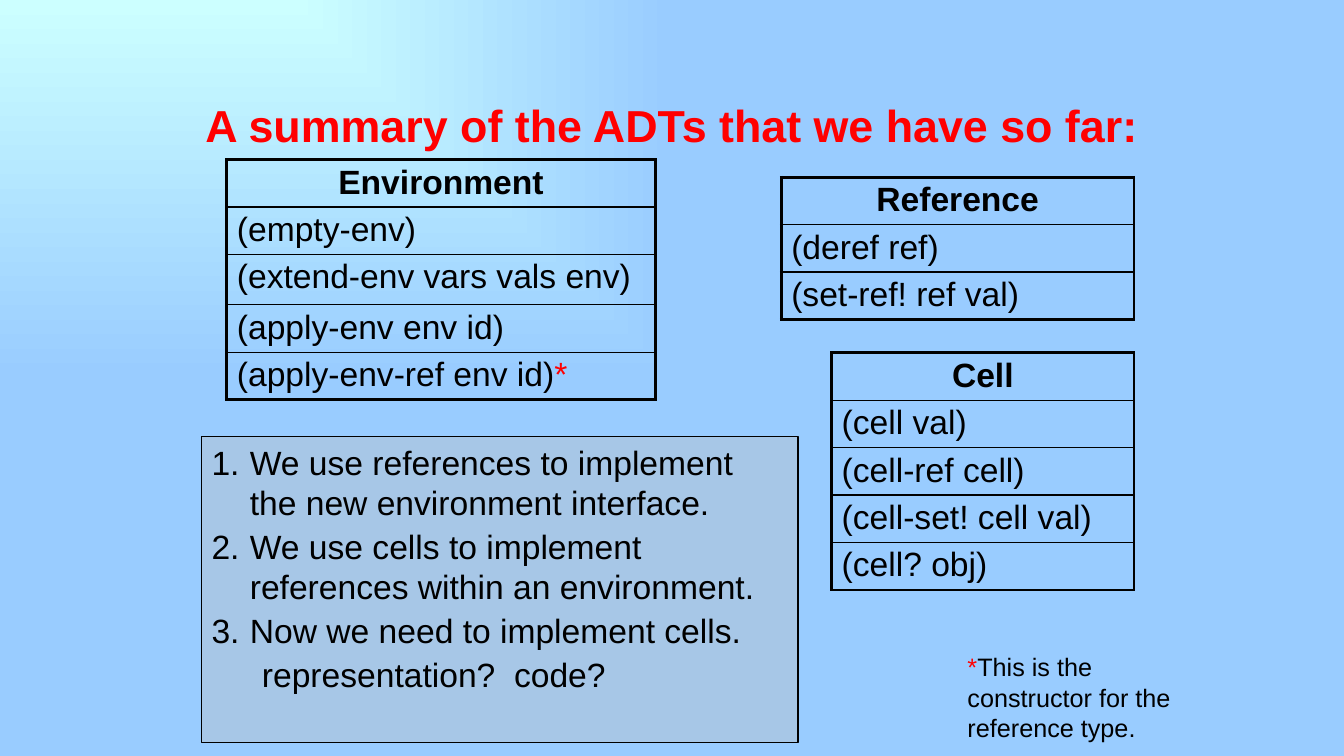
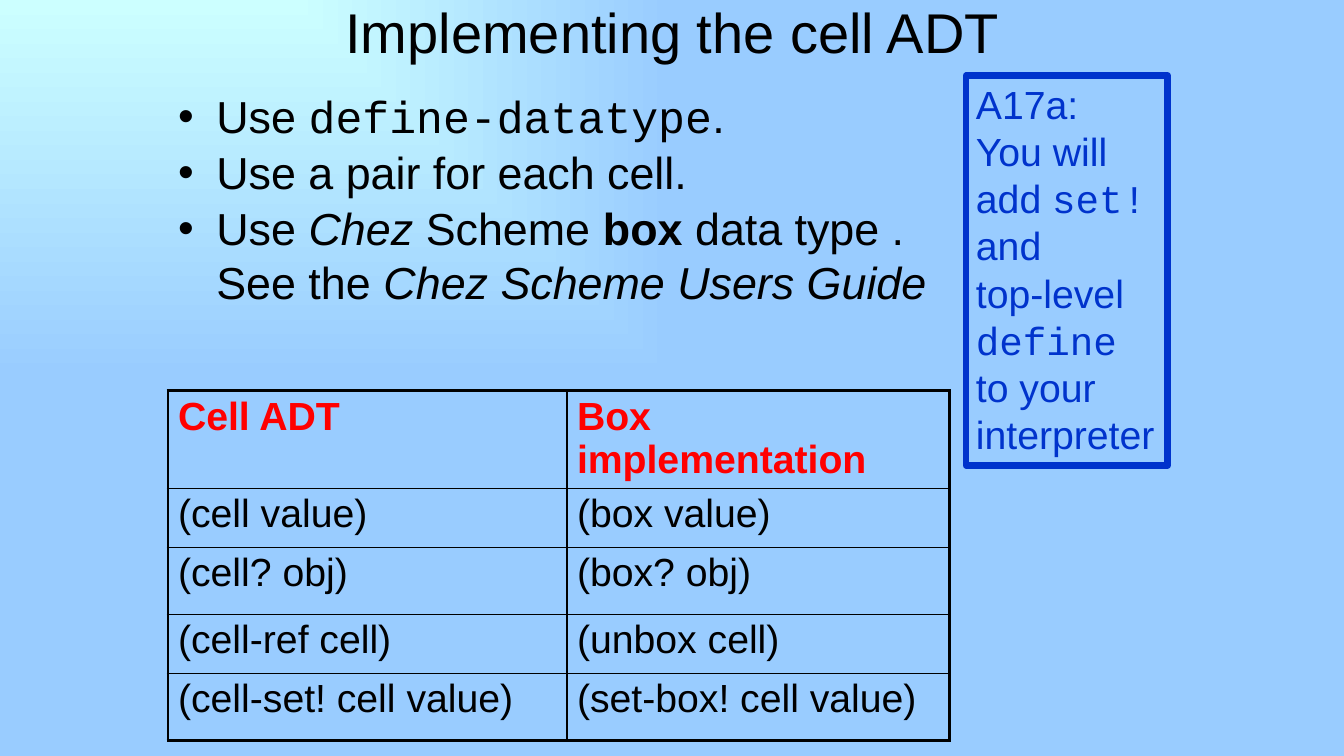
from lxml.etree import SubElement
from pptx import Presentation
from pptx.dml.color import RGBColor
from pptx.enum.shapes import MSO_SHAPE
from pptx.enum.text import MSO_ANCHOR, MSO_AUTO_SIZE, PP_ALIGN
from pptx.oxml.ns import qn
from pptx.util import Emu, Inches, Pt

COLORS = {
    "glow": "CCFFFF", "sky": "99CCFF", "ink": "000000",
    "accent": "FF0000", "panel": "C0C0C0", "notice": "0033CC",
}
SANS, MONO = "Arial", "Courier New"
COLUMNS, ROWS = 160, 90
WIDTH, HEIGHT = Inches(13.33), Inches(7.5)
OUTER, INNER = 2.25, 1
HANGING = 0.38


def rgb(name):
    return RGBColor.from_string(COLORS[name])


def cols(count):
    return Emu(round(WIDTH * count / COLUMNS))


def rows(count):
    return Emu(round(HEIGHT * count / ROWS))


def grid(left, top, width, height):
    """Turn grid columns and rows into slide lengths."""
    return cols(left), rows(top), cols(width), rows(height)


def place(shape, box):
    shape.left, shape.top, shape.width, shape.height = box


def write(paragraph, parts, size=24, color="ink", font=SANS, bold=False,
          italic=False, align=PP_ALIGN.LEFT, before=0, margin=0, indent=0,
          bullet=None, tab=None, line=None):
    """Fill a paragraph; parts is a text or a list of texts and (text, changes) pairs."""
    paragraph.alignment = align
    paragraph.space_before = Pt(before)
    if line:
        paragraph.line_spacing = line
    props = paragraph._p.get_or_add_pPr()
    props.set("marL", str(Inches(margin)))
    props.set("indent", str(Inches(indent)))
    if bullet == "number":
        SubElement(props, qn("a:buFont"), typeface=SANS)
        SubElement(props, qn("a:buAutoNum"), type="arabicPeriod")
    elif bullet:
        SubElement(props, qn("a:buFont"), typeface=SANS)
        SubElement(props, qn("a:buChar"), char=bullet)
    else:
        SubElement(props, qn("a:buNone"))
    if tab:
        stops = SubElement(props, qn("a:tabLst"))
        SubElement(stops, qn("a:tab"), pos=str(Inches(tab)), algn="l")

    base = dict(size=size, color=color, font=font, bold=bold, italic=italic)
    for part in [parts] if isinstance(parts, str) else parts:
        text, changes = (part, {}) if isinstance(part, str) else part
        look = base | changes
        for number, piece in enumerate(text.split("\n")):
            if number:
                paragraph.add_line_break()
            if not piece:
                continue
            run = paragraph.add_run()
            run.text = piece
            run.font.name = look["font"]
            run.font.size = Pt(look["size"])
            run.font.bold = look["bold"]
            run.font.italic = look["italic"]
            run.font.color.rgb = rgb(look["color"])


def fill_frame(shape, paragraphs, anchor=MSO_ANCHOR.TOP, **look):
    """Write paragraphs, each given as (parts, changes), into a shape."""
    frame = shape.text_frame
    frame.word_wrap = True
    frame.auto_size = MSO_AUTO_SIZE.NONE
    frame.vertical_anchor = anchor
    for number, (parts, changes) in enumerate(paragraphs):
        paragraph = frame.add_paragraph() if number else frame.paragraphs[0]
        spacing = {} if number else {"before": 0}
        write(paragraph, parts, **(look | changes | spacing))


def add_title(slide, box, text, **look):
    place(slide.shapes.title, box)
    fill_frame(slide.shapes.title, [(text, {})], align=PP_ALIGN.CENTER, **look)


def add_panel(slide, box, paragraphs, border, weight, fill=None, opacity=100, **look):
    panel = slide.shapes.add_shape(MSO_SHAPE.RECTANGLE, *box)
    panel.shadow.inherit = False
    panel.line.color.rgb = rgb(border)
    panel.line.width = Pt(weight)
    if fill:
        panel.fill.solid()
        panel.fill.fore_color.rgb = rgb(fill)
        tone = panel._element.spPr.find(qn("a:solidFill"))[0]
        SubElement(tone, qn("a:alpha"), val=str(opacity * 1000))
    else:
        panel.fill.background()
    fill_frame(panel, paragraphs, **look)


def draw_borders(cell, edges):
    props = cell._tc.get_or_add_tcPr()
    for position, (side, weight) in enumerate(edges.items()):
        border = SubElement(props, qn(f"a:ln{side}"), w=str(Pt(weight)))
        props.insert(position, border)
        paint = SubElement(border, qn("a:solidFill"))
        SubElement(paint, qn("a:srgbClr"), val=COLORS["ink"])


def add_adt_table(slide, left, top, widths, heights, content, header, **look):
    """Draw a framed table whose first row takes the header format."""
    box = grid(left, top, sum(widths), sum(heights))
    table = slide.shapes.add_table(len(heights), len(widths), *box).table
    table.first_row = table.horz_banding = False
    for column, width in zip(table.columns, widths):
        column.width = cols(width)
    last_row, last_column = len(heights) - 1, len(widths) - 1
    for r, (height, entries) in enumerate(zip(heights, content)):
        table.rows[r].height = rows(height)
        for c, parts in enumerate(entries):
            cell = table.cell(r, c)
            cell.fill.background()
            cell.margin_top = cell.margin_bottom = Inches(0.04)
            write(cell.text_frame.paragraphs[0], parts, **(look | ({} if r else header)))
            draw_borders(cell, {
                "L": INNER if c else OUTER,
                "R": OUTER if c == last_column else INNER,
                "T": INNER if r else OUTER,
                "B": OUTER if r == last_row else INNER,
            })


def paint_background(master):
    fill = master.background.fill
    fill.gradient()
    for stop, name in zip(fill.gradient_stops, ("glow", "sky")):
        stop.color.rgb = rgb(name)
    linear = master.element.xpath(".//p:bg//a:lin")[0]
    gradient = linear.getparent()
    gradient.remove(linear)
    corner = SubElement(gradient, qn("a:path"), path="rect")
    SubElement(corner, qn("a:fillToRect"), r="100000", b="100000")


def build_summary(slide):
    add_title(slide, grid(20, 11, 120, 13), "A summary of the ADTs that we have so far:",
              size=32, color="accent", bold=True)

    star = ("*", {"color": "accent"})
    row = 5.65
    adts = [
        (27, 19, 51, [row, row, 6, row, row],
         ["Environment", "(empty-env)", "(extend-env vars vals env)",
          "(apply-env env id)", ["(apply-env-ref env id)", star]]),
        (93, 21.1, 42, [row] * 3, ["Reference", "(deref ref)", "(set-ref! ref val)"]),
        (99, 42, 36, [row] * 5,
         ["Cell", "(cell val)", "(cell-ref cell)", "(cell-set! cell val)", "(cell? obj)"]),
    ]
    for left, top, width, heights, lines in adts:
        add_adt_table(slide, left, top, [width], heights, [[line] for line in lines],
                      header=dict(bold=True, align=PP_ALIGN.CENTER))

    step = dict(margin=HANGING, indent=-HANGING, bullet="number")
    add_panel(slide, grid(24, 52, 71, 36.4), [
        ("We use references to implement the new environment interface.", step),
        ("We use cells to implement references within an environment.", step),
        ("Now we need to implement cells.", step),
        ("representation?\tcode?", dict(margin=0.5, tab=3.37)),
    ], border="ink", weight=0.75, fill="panel", opacity=37, before=2.4)

    footnote = slide.shapes.add_textbox(*grid(114, 77, 31, 12))
    fill_frame(footnote, [([star, "This is the constructor for the reference type."], {})],
               size=18)


def build_cell(slide):
    add_title(slide, grid(26, 0, 108, 7.5), "Implementing the cell ADT",
              size=40, anchor=MSO_ANCHOR.MIDDLE)

    ideas = slide.placeholders[1]
    place(ideas, grid(20, 10, 120, 31))
    code, slanted = {"font": MONO}, {"italic": True}
    fill_frame(ideas, [
        (["Use ", ("define-datatype", code), "."], {}),
        ("Use a pair for each cell.", {}),
        (["Use ", ("Chez", slanted), " Scheme ", ("box", {"bold": True}),
          " data type .\nSee the ", ("Chez Scheme Users Guide", slanted)], {}),
    ], size=32, before=1.6, margin=HANGING, indent=-HANGING, bullet="•")

    add_adt_table(slide, 20, 46.5, [47.5, 45.5], [11.65, 7, 8, 7, 8], [
        ["Cell ADT", "Box implementation"],
        ["(cell value)", "(box value)"],
        ["(cell? obj)", "(box? obj)"],
        ["(cell-ref cell)", "(unbox cell)"],
        ["(cell-set! cell value)", "(set-box! cell value)"],
    ], header=dict(color="accent", bold=True), size=28)

    add_panel(slide, grid(115, 9, 24, 46.4), [
        (["A17a:\nYou will add ", ("set! ", code), "and\ntop-level",
          (" define ", code), "to your interpreter"], {}),
    ], border="notice", weight=4.75, size=28, color="notice")


def main():
    deck = Presentation()
    deck.slide_width, deck.slide_height = WIDTH, HEIGHT
    paint_background(deck.slide_master)
    title_and_content, title_only = deck.slide_layouts[1], deck.slide_layouts[5]
    build_summary(deck.slides.add_slide(title_only))
    build_cell(deck.slides.add_slide(title_and_content))
    deck.save("out.pptx")


if __name__ == "__main__":
    main()
